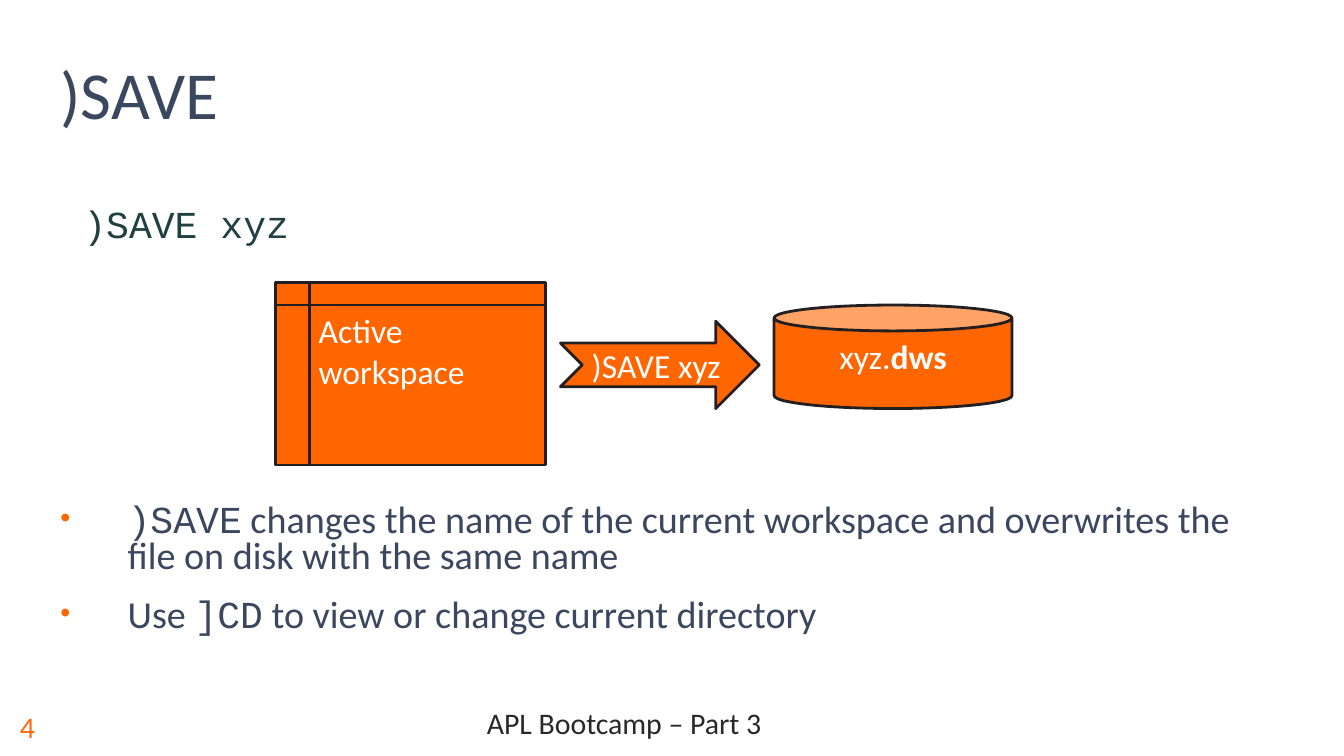
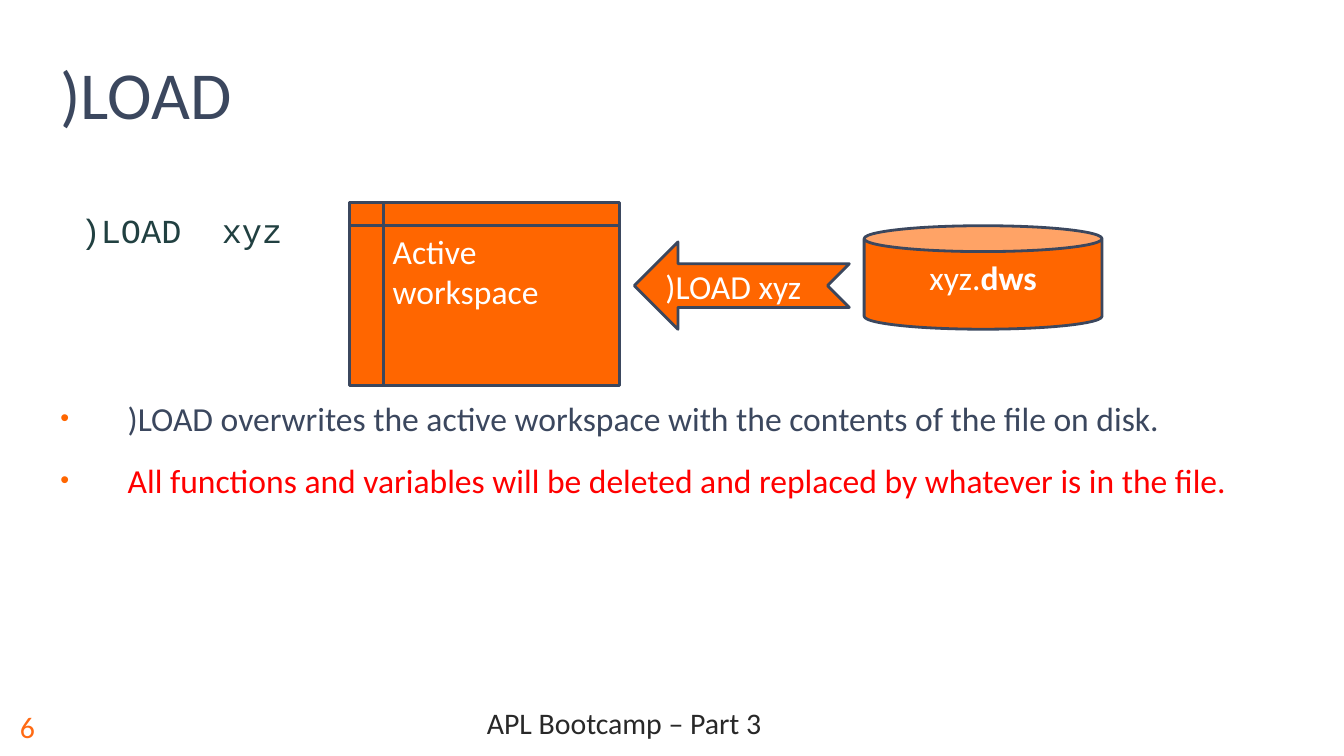
"""Build two slides that explain the )SAVE and )LOAD workspace commands."""
from lxml.etree import SubElement
from pptx import Presentation
from pptx.dml.color import RGBColor
from pptx.enum.shapes import MSO_SHAPE
from pptx.enum.text import MSO_ANCHOR, MSO_AUTO_SIZE, PP_ALIGN
from pptx.oxml.ns import qn
from pptx.util import Inches, Pt

COLORS = {"navy": "3B475E", "orange": "FF6600", "number": "FF6A13", "footer": "282828",
          "code": "214041", "red": "FF0000", "ink": "231F20", "white": "FFFFFF"}
SANS, MONO = "Calibri", "Courier New"
WIDTH = 10
HEIGHT = WIDTH * 9 / 16
MARGIN, FOOTER_HEIGHT = 0.35, 0.44
FOOTER_TOP = HEIGHT - FOOTER_HEIGHT
AREAS = {"title": (MARGIN, 0.29, 7.12, 0.75), "body": (MARGIN, 1.51, 9.25, 3.42),
         "footer": (0.78, FOOTER_TOP, 7.73, FOOTER_HEIGHT),
         "number": (0.05, FOOTER_TOP, 0.73, FOOTER_HEIGHT)}
FOOTER = "APL Bootcamp – Part 3"
STORAGE_SIZE, CAN_SIZE, ARROW_HEIGHT = (2.01, 1.36), (1.77, 0.77), 0.65
STEP_GAP, ARROW_DROP, CAN_DROP = 0.11, 0.29, 0.17
LABEL_INSETS = {"margin_left": Inches(0.07), "margin_right": Inches(0.07),
                "margin_top": Inches(0.04), "margin_bottom": Inches(0.04), "word_wrap": False}
WORKSPACE = [[("Active", {})], [("workspace", {})]]
FILE = [[("xyz.", {}), ("dws", {"bold": True})]]

SLIDES = [
    {"title": ")SAVE", "number": "4", "command": " )SAVE xyz", "size": 20.4,
     "spacing": 0.8, "diagram_room": 126,
     "bullets": [
         [(")SAVE", {"name": MONO}),
          (" changes the name of the current workspace and overwrites the file on disk"
           " with the same name", {})],
         [("Use ", {}), ("]CD", {"name": MONO}),
          (" to view or change current directory", {})]],
     "diagram": {"origin": (2.05, 2.1), "arrow": ")SAVE xyz", "arrow_width": 1.48,
                 "line": "ink", "backwards": False, "grouped": False}},
    {"title": ")LOAD", "number": "6", "command": " )LOAD  xyz", "size": 18,
     "spacing": 1.0, "diagram_room": 67,
     "bullets": [
         [(")LOAD overwrites the active workspace with the contents of the file on disk.", {})],
         [("All functions and variables will be deleted and replaced by whatever is in"
           " the file.", {"color": "red"})]],
     "diagram": {"origin": (2.6, 1.51), "arrow": ")LOAD xyz", "arrow_width": 1.6,
                 "line": "navy", "backwards": True, "grouped": True}},
]


def rgb(color):
    return RGBColor.from_string(COLORS[color])


def assign(target, values):
    for attribute, value in values.items():
        setattr(target, attribute, value)


def add_runs(paragraph, runs, size, color, **spacing):
    assign(paragraph, spacing)
    for text, changes in runs:
        run = paragraph.add_run()
        run.text = text
        style = {"name": SANS, "size": Pt(size), "color": color, **changes}
        run.font.color.rgb = rgb(style.pop("color"))
        assign(run.font, style)


def next_paragraph(frame, index):
    return frame.add_paragraph() if index else frame.paragraphs[0]


def place(shape, area):
    assign(shape, dict(zip(("left", "top", "width", "height"), map(Inches, area))))


def set_bullet(paragraph, bulleted):
    properties = paragraph._p.get_or_add_pPr()
    indent = Inches(0.5) if bulleted else 0
    properties.set("marL", str(indent))
    properties.set("indent", str(-indent))
    if not bulleted:
        SubElement(properties, qn("a:buNone"))
        return
    tint = SubElement(properties, qn("a:buClr"))
    SubElement(tint, qn("a:srgbClr"), val=COLORS["orange"])
    SubElement(properties, qn("a:buSzPct"), val="75000")
    SubElement(properties, qn("a:buFont"), typeface="Arial")
    SubElement(properties, qn("a:buChar"), char="•")


def add_title(slide, text):
    title = slide.shapes.title
    place(title, AREAS["title"])
    assign(title.text_frame, {"vertical_anchor": MSO_ANCHOR.BOTTOM,
                              "auto_size": MSO_AUTO_SIZE.NONE})
    add_runs(title.text_frame.paragraphs[0], [(text, {})], 36, "navy",
             alignment=PP_ALIGN.LEFT)


def add_body(slide, content):
    body = slide.placeholders[1]
    place(body, AREAS["body"])
    body.text_frame.auto_size = MSO_AUTO_SIZE.NONE
    command = [(content["command"], {"name": MONO, "color": "code"})]
    for index, runs in enumerate([command, *content["bullets"]]):
        paragraph = next_paragraph(body.text_frame, index)
        set_bullet(paragraph, index > 0)
        add_runs(paragraph, runs, content["size"], "navy",
                 line_spacing=content["spacing"], space_after=Pt(12),
                 space_before=Pt(content["diagram_room"] if index == 1 else 0))


def add_footer(slide, number):
    for area, text, color, spacing in (
            ("footer", FOOTER, "footer", {"alignment": PP_ALIGN.CENTER, "line_spacing": 0.8}),
            ("number", number, "number", {"alignment": PP_ALIGN.LEFT})):
        frame = slide.shapes.add_textbox(*map(Inches, AREAS[area])).text_frame
        assign(frame, {"word_wrap": True, "vertical_anchor": MSO_ANCHOR.MIDDLE})
        add_runs(frame.paragraphs[0], [(text, {})], 16, color, **spacing)


def add_diagram(slide, diagram):
    shapes = slide.shapes.add_group_shape().shapes if diagram["grouped"] else slide.shapes
    left, top = diagram["origin"]
    steps = [
        (MSO_SHAPE.FLOWCHART_INTERNAL_STORAGE, STORAGE_SIZE, 0, WORKSPACE,
         MSO_ANCHOR.TOP, PP_ALIGN.LEFT),
        (MSO_SHAPE.NOTCHED_RIGHT_ARROW, (diagram["arrow_width"], ARROW_HEIGHT), ARROW_DROP,
         [[(diagram["arrow"], {})]], MSO_ANCHOR.MIDDLE, PP_ALIGN.LEFT),
        (MSO_SHAPE.CAN, CAN_SIZE, CAN_DROP, FILE, MSO_ANCHOR.TOP, PP_ALIGN.CENTER),
    ]
    for kind, (width, height), drop, label, anchor, alignment in steps:
        step = shapes.add_shape(kind, *map(Inches, (left, top + drop, width, height)))
        step.shadow.inherit = False
        step.fill.solid()
        step.fill.fore_color.rgb = rgb("orange")
        step.line.color.rgb = rgb(diagram["line"])
        step.line.width = Pt(1.5)
        if diagram["backwards"] and kind == MSO_SHAPE.NOTCHED_RIGHT_ARROW:
            step._element.spPr.get_or_add_xfrm().set("flipH", "1")
        assign(step.text_frame, {**LABEL_INSETS, "vertical_anchor": anchor})
        for index, runs in enumerate(label):
            add_runs(next_paragraph(step.text_frame, index), runs, 18, "white",
                     alignment=alignment)
        left += width + STEP_GAP


def main():
    deck = Presentation()
    assign(deck, {"slide_width": Inches(WIDTH), "slide_height": Inches(HEIGHT)})
    for content in SLIDES:
        slide = deck.slides.add_slide(deck.slide_layouts[1])
        add_title(slide, content["title"])
        add_body(slide, content)
        add_footer(slide, content["number"])
        add_diagram(slide, content["diagram"])
    deck.save("out.pptx")


if __name__ == "__main__":
    main()
